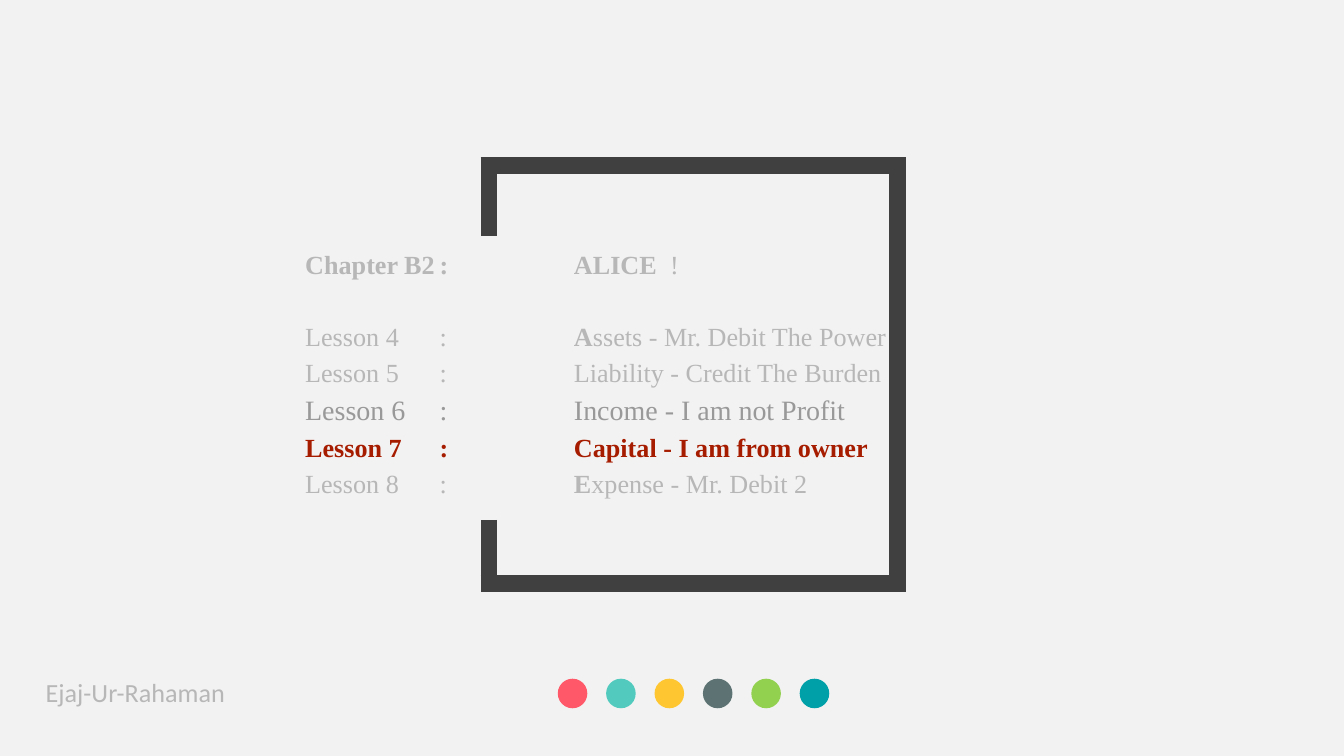
from dataclasses import dataclass

from lxml import etree
from pptx import Presentation
from pptx.dml.color import RGBColor
from pptx.enum import shapes, text
from pptx.oxml.ns import qn
from pptx.util import Pt


@dataclass(frozen=True)
class Theme:
    background: str = "F2F2F2"
    frame: str = "404040"
    muted: str = "B7B7B7"
    previous: str = "999999"
    current: str = "A61C00"
    dots: tuple = ("FF5969", "52CBBE", "FEC630", "5D7373", "92D050", "00A0A8")
    body_font: str = "Times New Roman"
    author_font: str = "Calibri"
    size: int = 14
    large: int = 15


class Deck:
    def __init__(self, theme):
        self.theme = theme
        self.prs = Presentation()
        self.prs.slide_width, self.prs.slide_height = Pt(720), Pt(405)
        self.slide = self.prs.slides.add_slide(self.prs.slide_layouts[6])
        fill = self.slide.background.fill
        fill.solid()
        fill.fore_color.rgb = RGBColor.from_string(theme.background)

    def bar(self, x1, y1, x2, y2):
        """Draw one thick side of the frame."""
        side = self.slide.shapes.add_connector(
            shapes.MSO_CONNECTOR.STRAIGHT, Pt(x1), Pt(y1), Pt(x2), Pt(y2))
        side.line.width = Pt(9)
        side.line.color.rgb = RGBColor.from_string(self.theme.frame)
        etree.SubElement(side._element.spPr, qn("a:effectLst"))

    def dot(self, left, top, diameter, color):
        circle = self.slide.shapes.add_shape(
            shapes.MSO_SHAPE.OVAL, Pt(left), Pt(top), Pt(diameter), Pt(diameter))
        circle.shadow.inherit = False
        circle.fill.solid()
        circle.fill.fore_color.rgb = RGBColor.from_string(color)
        circle.line.fill.background()

    def text_box(self, left, top, width, height):
        frame = self.slide.shapes.add_textbox(
            Pt(left), Pt(top), Pt(width), Pt(height)).text_frame
        settings = {"word_wrap": True, "vertical_anchor": text.MSO_ANCHOR.TOP,
                    "margin_left": Pt(3), "margin_right": Pt(3),
                    "margin_top": Pt(3), "margin_bottom": Pt(3)}
        for name, value in settings.items():
            setattr(frame, name, value)
        return frame

    def add_runs(self, paragraph, runs, font, size, color):
        """Add (wording, bold) runs to a paragraph."""
        for wording, bold in runs:
            run = paragraph.add_run()
            run.text = wording
            for name, value in {"name": font, "size": Pt(size), "bold": bold}.items():
                setattr(run.font, name, value)
            run.font.color.rgb = RGBColor.from_string(color)

    def tab_stops(self, paragraph, *positions):
        stops = etree.SubElement(paragraph._p.get_or_add_pPr(), qn("a:tabLst"))
        for position in positions:
            etree.SubElement(stops, qn("a:tab"), pos=str(Pt(position)), algn="l")


def main():
    theme = Theme()
    deck = Deck(theme)

    left, right, top, bottom = 262, 481, 88.5, 312.5
    half = 4.5
    for y in (top, bottom):
        deck.bar(left - half, y, right + half, y)
    deck.bar(right, top, right, bottom + half)
    deck.bar(left, top, left, 126.5)
    deck.bar(left, 278.5, left, bottom + half)

    author = deck.text_box(21.5, 359.5, 116, 24.5).paragraphs[0]
    deck.add_runs(author, [("Ejaj-Ur-Rahaman", False)],
                  theme.author_font, theme.size, theme.muted)

    for i, color in enumerate(theme.dots):
        deck.dot(298.8 + 25.92 * i, 363.6, 15.84, color)

    size, muted = theme.size, theme.muted
    contents = [
        ([("Chapter B2\t:\tALICE ", True), (" !", False)], size, muted),
        ([("Lesson 4\t:\t", False), ("A", True),
          ("ssets - Mr. Debit The Power", False)], size, muted),
        ([("Lesson 5\t:\tLiability - Credit The Burden", False)], size, muted),
        ([("Lesson 6\t:\tIncome - I am not Profit", False)],
         theme.large, theme.previous),
        ([("Lesson 7\t:\tCapital - I am from owner", True)], size, theme.current),
        ([("Lesson 8\t:\t", False), ("E", True),
          ("xpense - Mr. Debit 2", False)], size, muted),
    ]
    outline = deck.text_box(160.5, 127.5, 416, 154)
    for i, (runs, points, color) in enumerate(contents):
        entry = outline.add_paragraph() if i else outline.paragraphs[0]
        entry.line_spacing = 1.15
        if i == 1:
            entry.space_before = Pt(19.3)
        deck.tab_stops(entry, 72, 144)
        deck.add_runs(entry, runs, theme.body_font, points, color)

    deck.prs.save("out.pptx")


if __name__ == "__main__":
    main()
